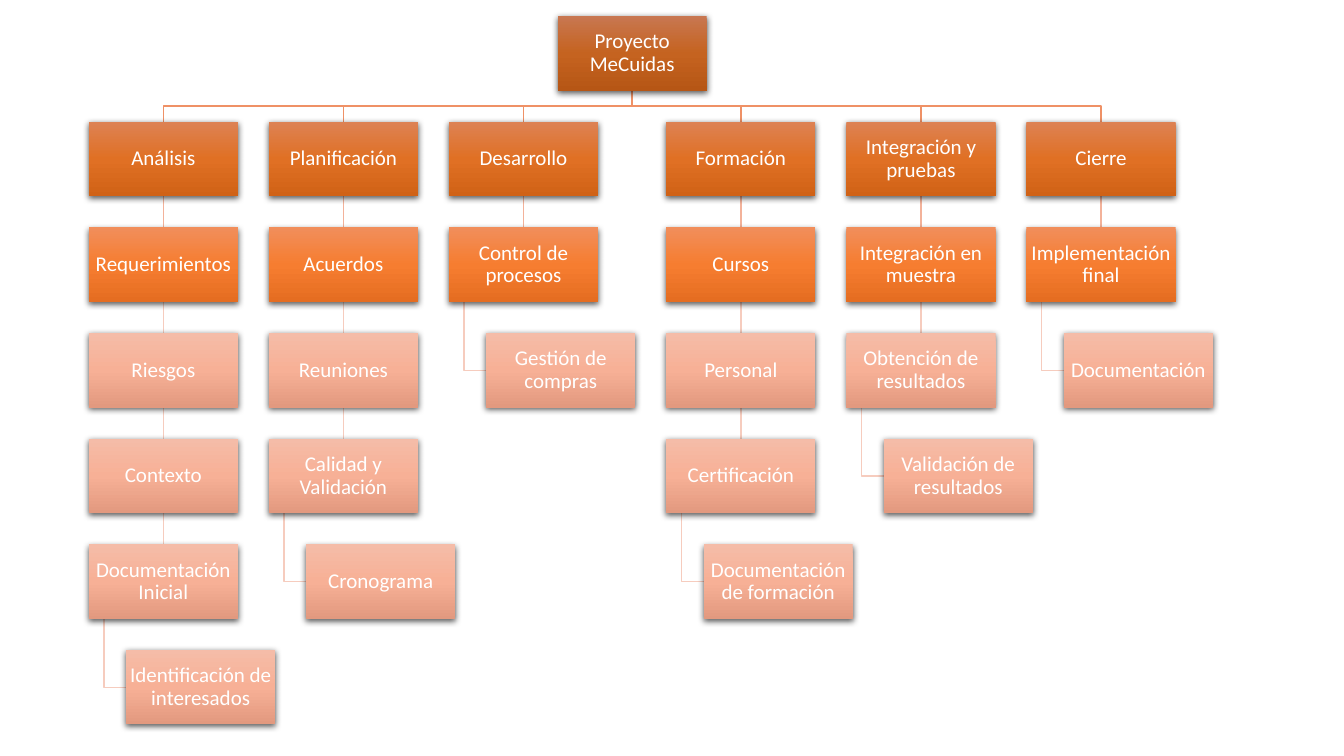
from copy import deepcopy
from dataclasses import dataclass

from lxml.etree import SubElement
from pptx import Presentation
from pptx.dml.color import RGBColor
from pptx.enum.shapes import MSO_CONNECTOR, MSO_SHAPE
from pptx.enum.text import MSO_ANCHOR, PP_ALIGN
from pptx.oxml.ns import qn
from pptx.util import Inches, Pt

# Content: each branch runs from its heading down to its last task
PROJECT = "Proyecto MeCuidas"
BRANCHES = [
    ["Análisis", "Requerimientos", "Riesgos", "Contexto",
     "Documentación Inicial", "Identificación de interesados"],
    ["Planificación", "Acuerdos", "Reuniones", "Calidad y Validación", "Cronograma"],
    ["Desarrollo", "Control de procesos", "Gestión de compras"],
    ["Formación", "Cursos", "Personal", "Certificación", "Documentación de formación"],
    ["Integración y pruebas", "Integración en muestra",
     "Obtención de resultados", "Validación de resultados"],
    ["Cierre", "Implementación final", "Documentación"],
]


@dataclass(frozen=True)
class Theme:
    font: str = "Calibri"
    size: float = 15
    text: str = "FFFFFF"
    line_width: float = 1
    # Gradients and connector colours by depth; the last serves all deeper levels
    boxes: tuple = (("C87751", "C56320", "B65615"), ("DD8254", "E07024", "D06216"),
                    ("F18E5B", "F67D30", "E56D21"), ("F5BCA8", "F7B096", "E2997F"))
    lines: tuple = ("EF9166", "F3B29A", "F6CCBE")


THEME = Theme()

# Layout in inches
BOX_WIDTH, BOX_HEIGHT = 1.48, 0.74
LEFT, TOP = 0.88, 0.16
ROW_STEP, COLUMN_STEP = 1.048, 1.786
INDENT = 0.37
ELBOW_INSET = 0.15


def row_top(depth):
    return TOP + depth * ROW_STEP


def by_depth(options, depth):
    return options[min(depth, len(options) - 1)]


def branch_lefts():
    """Step across, widening where the next branch meets an indented last task."""
    lefts = [LEFT]
    for branch, following in zip(BRANCHES, BRANCHES[1:]):
        extra = INDENT if len(following) >= len(branch) else 0
        lefts.append(lefts[-1] + COLUMN_STEP + extra)
    return lefts


def write(shape, text, *, font, size, color):
    frame = shape.text_frame
    frame.word_wrap = True
    frame.vertical_anchor = MSO_ANCHOR.MIDDLE
    frame.margin_left = frame.margin_right = Inches(0.01)
    frame.margin_top = frame.margin_bottom = Inches(0.01)
    paragraph = frame.paragraphs[0]
    paragraph.text = text
    paragraph.alignment = PP_ALIGN.CENTER
    paragraph.line_spacing = 0.9
    paragraph.space_after = Pt(size * 0.35)
    paragraph.font.name = font
    paragraph.font.size = Pt(size)
    paragraph.font.color.rgb = RGBColor.from_string(color)


def add_effects(shape):
    return SubElement(shape._element.spPr, qn("a:effectLst"))


def add_box(slide, text, left, depth):
    shape = slide.shapes.add_shape(MSO_SHAPE.RECTANGLE, Inches(left), Inches(row_top(depth)),
                                   Inches(BOX_WIDTH), Inches(BOX_HEIGHT))
    # Three-stop gradient, light at the top
    shape.fill.gradient()
    shape.fill.gradient_angle = 270
    stop_list = shape._element.spPr.find(".//" + qn("a:gsLst"))
    stop_list.insert(1, deepcopy(stop_list[0]))
    for stop, position, color in zip(shape.fill.gradient_stops, (0, 0.5, 1),
                                     by_depth(THEME.boxes, depth)):
        stop.position = position
        stop.color.rgb = RGBColor.from_string(color)
    shape.line.fill.background()
    # Soft shadow below
    shadow = SubElement(add_effects(shape), qn("a:outerShdw"), blurRad=str(Pt(4.5)),
                        dist=str(Pt(1.5)), dir="5400000", algn="ctr", rotWithShape="0")
    SubElement(SubElement(shadow, qn("a:srgbClr"), val="000000"), qn("a:alpha"), val="63000")
    write(shape, text, font=THEME.font, size=THEME.size, color=THEME.text)


def add_line(slide, points, depth):
    corners = [(Inches(x), Inches(y)) for x, y in points]
    if len(corners) == 2:
        line = slide.shapes.add_connector(MSO_CONNECTOR.STRAIGHT, *corners[0], *corners[1])
    else:
        builder = slide.shapes.build_freeform(*corners[0])
        builder.add_line_segments(corners[1:], close=False)
        line = builder.convert_to_shape()
        line.fill.background()
    line.line.color.rgb = RGBColor.from_string(by_depth(THEME.lines, depth - 1))
    line.line.width = Pt(THEME.line_width)
    add_effects(line)


def main():
    presentation = Presentation()
    presentation.slide_width, presentation.slide_height = Inches(13.33), Inches(7.5)
    slide = presentation.slides.add_slide(presentation.slide_layouts[6])

    lefts = branch_lefts()
    root_center = (lefts[0] + lefts[-1] + BOX_WIDTH) / 2
    root_bottom = TOP + BOX_HEIGHT
    bus = (root_bottom + row_top(1)) / 2

    # Connectors, behind the boxes
    for branch, left in zip(BRANCHES, lefts):
        center = left + BOX_WIDTH / 2
        add_line(slide, [(root_center, root_bottom), (root_center, bus),
                         (center, bus), (center, row_top(1))], 1)
        for depth in range(2, len(branch) + 1):
            start, end = row_top(depth - 1) + BOX_HEIGHT, row_top(depth)
            if depth < len(branch):
                points = [(center, start), (center, end)]
            else:
                stem, middle = left + ELBOW_INSET, end + BOX_HEIGHT / 2
                points = [(stem, start), (stem, middle), (left + INDENT, middle)]
            add_line(slide, points, depth)

    # Boxes, with the last task of each branch indented
    add_box(slide, PROJECT, root_center - BOX_WIDTH / 2, 0)
    for branch, left in zip(BRANCHES, lefts):
        for depth, text in enumerate(branch, start=1):
            add_box(slide, text, left + (INDENT if depth == len(branch) else 0), depth)

    presentation.save("out.pptx")


if __name__ == "__main__":
    main()
